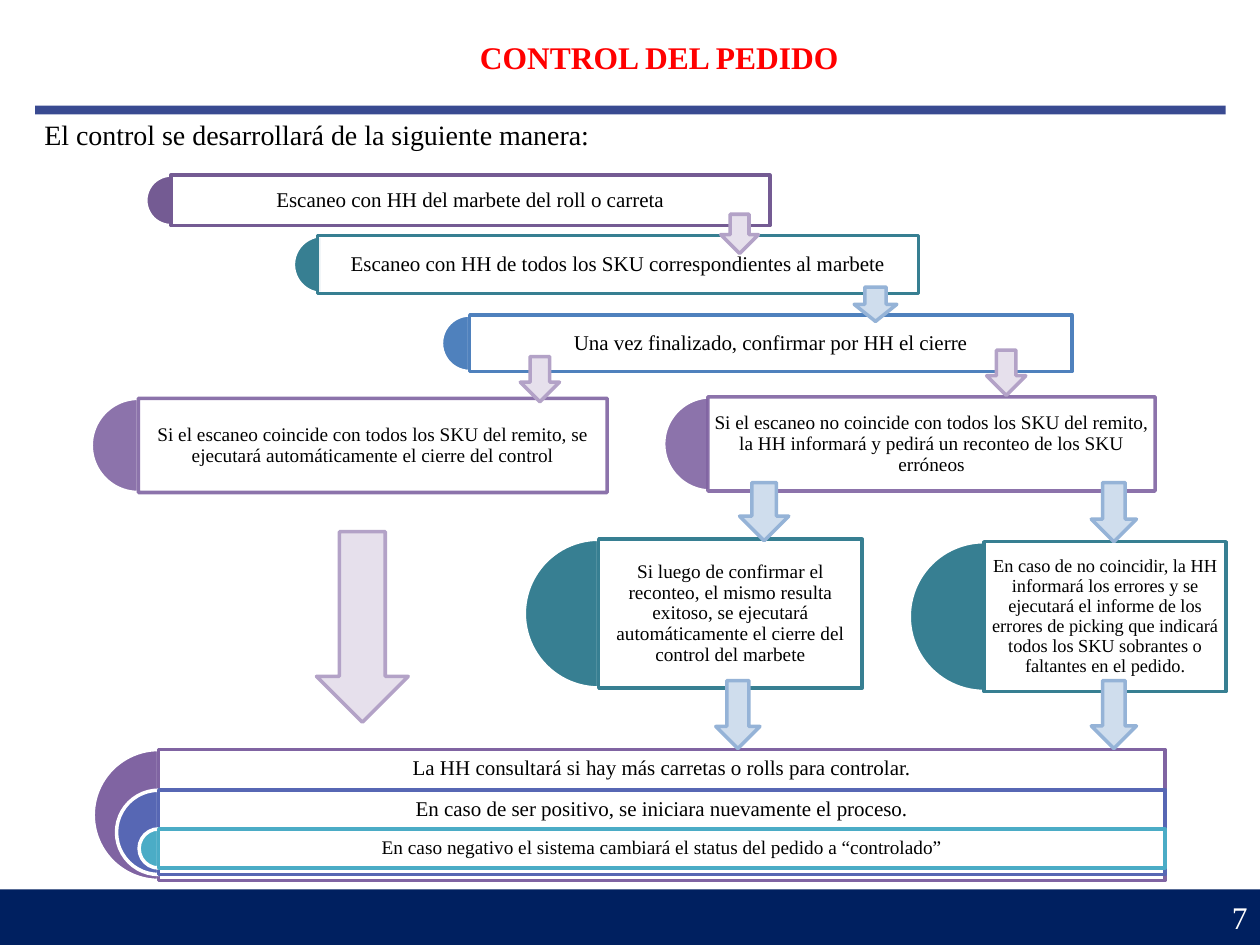
"""Build the order control flow slide."""
from dataclasses import dataclass
from typing import Any

from lxml.etree import SubElement
from pptx import Presentation
from pptx.dml.color import RGBColor
from pptx.enum.shapes import MSO_SHAPE as Preset
from pptx.enum.text import MSO_ANCHOR as Anchor, MSO_AUTO_SIZE as AutoSize, PP_ALIGN as Align
from pptx.oxml.ns import qn
from pptx.util import Cm, Pt

BLACK = RGBColor(0x00, 0x00, 0x00)
WHITE = RGBColor(0xFF, 0xFF, 0xFF)
RED = RGBColor(0xFF, 0x00, 0x00)
NAVY = RGBColor(0x00, 0x20, 0x60)
INDIGO = RGBColor(0x39, 0x4A, 0x91)
PURPLE = RGBColor(0x80, 0x64, 0xA2)
PLUM = RGBColor(0x74, 0x5B, 0x93)
TEAL = RGBColor(0x37, 0x7F, 0x92)
BLUE = RGBColor(0x4F, 0x81, 0xBD)
PERIWINKLE = RGBColor(0x57, 0x67, 0xB4)
AQUA = RGBColor(0x4B, 0xAC, 0xC6)
LILAC = RGBColor(0xE6, 0xE0, 0xEC)
LILAC_EDGE = RGBColor(0xB3, 0xA2, 0xC7)
SKY = RGBColor(0xCF, 0xDD, 0xED)
SKY_EDGE = RGBColor(0x95, 0xB3, 0xD7)

FONT = "Times New Roman"
OUTLINE = Pt(2)
INSET = 0.13
FINAL_ROW = 0.79


@dataclass(frozen=True)
class Box:
    left: float
    top: float
    width: float
    height: float

    def lengths(self) -> tuple:
        return Cm(self.left), Cm(self.top), Cm(self.width), Cm(self.height)


@dataclass(frozen=True)
class Step:
    box: Box
    color: RGBColor
    text: str
    size: float = 12
    row: float | None = None
    disc_shift: float = 0
    faded: bool = False


@dataclass(frozen=True)
class Arrow:
    box: Box
    fill: RGBColor = LILAC
    edge: RGBColor = LILAC_EDGE


STEPS = [
    Step(Box(2.79, 8.03, 9.45, 1.9), PURPLE,
         "Si el escaneo coincide con todos los SKU del remito, se ejecutará "
         "automáticamente el cierre del control", 11, faded=True),
    Step(Box(3.2, 15.11, 20.29, 2.64), PURPLE,
         "La HH consultará si hay más carretas o rolls para controlar.", row=FINAL_ROW),
    Step(Box(3.2, 15.93, 20.29, 1.7), PERIWINKLE,
         "En caso de ser positivo, se iniciara nuevamente el proceso.", row=FINAL_ROW),
    Step(Box(3.2, 16.71, 20.29, FINAL_ROW), AQUA,
         "En caso negativo el sistema cambiará el status del pedido a “controlado”", 11),
    Step(Box(14.27, 8, 9.02, 1.9), PURPLE,
         "Si el escaneo no coincide con todos los SKU del remito, la HH informará "
         "y pedirá un reconteo de los SKU erróneos", 11, disc_shift=0.06, faded=True),
    Step(Box(12.07, 10.87, 5.31, 3), TEAL,
         "Si luego de confirmar el reconteo, el mismo resulta exitoso, se ejecutará "
         "automáticamente el cierre del control del marbete", 11),
    Step(Box(19.84, 10.92, 4.88, 3.02), TEAL,
         "En caso de no coincidir, la HH informará los errores y se ejecutará el "
         "informe de los errores de picking que indicará todos los SKU sobrantes o "
         "faltantes en el pedido.", 10.5),
    Step(Box(3.45, 3.53, 12.07, 1.02), PLUM, "Escaneo con HH del marbete del roll o carreta"),
    Step(Box(6.4, 4.75, 12.12, 1.17), TEAL,
         "Escaneo con HH de todos los SKU correspondientes al marbete", disc_shift=0.1),
    Step(Box(9.47, 6.35, 12.14, 1.14), BLUE, "Una vez finalizado, confirmar por HH el cierre"),
]

ARROWS = [
    Arrow(Box(6.38, 10.72, 1.85, 3.84)),
    Arrow(Box(10.49, 7.19, 0.79, 0.91)),
    Arrow(Box(17.22, 5.79, 0.86, 0.69), SKY, SKY_EDGE),
    Arrow(Box(22, 9.73, 0.91, 1.19), SKY, SKY_EDGE),
    Arrow(Box(14.91, 9.73, 0.99, 1.17), SKY, SKY_EDGE),
    Arrow(Box(14.53, 4.32, 0.76, 0.79)),
    Arrow(Box(19.89, 7.06, 0.79, 0.91)),
    Arrow(Box(14.43, 13.72, 0.89, 1.37), SKY, SKY_EDGE),
    Arrow(Box(22, 13.72, 0.91, 1.37), SKY, SKY_EDGE),
]


def apply_formats(target: Any, formats: dict[str, Any]) -> None:
    for attribute, value in formats.items():
        setattr(target, attribute, value)


def draw_shape(slide: Any, preset: Preset, box: Box, fill: RGBColor,
               edge: RGBColor | None = None) -> Any:
    shape = slide.shapes.add_shape(preset, *box.lengths())
    shape.shadow.inherit = False
    shape.fill.solid()
    shape.fill.fore_color.rgb = fill
    if edge is None:
        shape.line.fill.background()
    else:
        shape.line.color.rgb = edge
        shape.line.width = OUTLINE
    return shape


def fade(shape: Any, part: str) -> None:
    for color in shape._element.xpath(f"./p:spPr/{part}/a:srgbClr"):
        SubElement(color, qn("a:alpha")).set("val", "90000")


def write(shape: Any, text: str, frame: dict[str, Any], paragraph: dict[str, Any],
          size: float, color: RGBColor, bold: bool = False) -> None:
    apply_formats(shape.text_frame, frame)
    line = shape.text_frame.paragraphs[0]
    line.text = text
    apply_formats(line, paragraph)
    apply_formats(line.font, {"name": FONT, "size": Pt(size), "bold": bold})
    line.font.color.rgb = color


def draw_step(slide: Any, step: Step) -> None:
    box = step.box
    disc_box = Box(box.left - box.height / 2 + step.disc_shift, box.top, box.height, box.height)
    disc = draw_shape(slide, Preset.PIE, disc_box, step.color, WHITE)
    disc.adjustments[0], disc.adjustments[1] = 54, 162
    panel = draw_shape(slide, Preset.RECTANGLE, box, WHITE, step.color)
    fade(panel, "a:solidFill")
    if step.faded:
        fade(disc, "a:solidFill")
        fade(panel, "a:ln/a:solidFill")
    below_row = box.height - (step.row or box.height)
    frame = {"word_wrap": True, "vertical_anchor": Anchor.MIDDLE,
             "margin_left": Cm(INSET), "margin_right": Cm(INSET),
             "margin_top": Cm(INSET), "margin_bottom": Cm(INSET + below_row)}
    write(panel, step.text, frame, {"alignment": Align.CENTER, "line_spacing": 0.9},
          step.size, BLACK)


def fill_placeholder(placeholder: Any, box: Box, text: str, size: float,
                     color: RGBColor, bold: bool = False) -> None:
    sides = ("left", "top", "width", "height")
    apply_formats(placeholder, dict(zip(sides, box.lengths())))
    properties = placeholder.text_frame.paragraphs[0]._p.get_or_add_pPr()
    apply_formats(properties, {"marL": 0, "indent": 0} if hasattr(properties, "marL") else {})
    properties.set("marL", "0")
    properties.set("indent", "0")
    SubElement(properties, qn("a:buNone"))
    frame = {"word_wrap": False, "auto_size": AutoSize.NONE, "vertical_anchor": Anchor.TOP}
    write(placeholder, text, frame, {"alignment": Align.LEFT, "space_before": Pt(0)},
          size, color, bold)


def main() -> None:
    deck = Presentation()
    apply_formats(deck, {"slide_width": Cm(25.4), "slide_height": Cm(19.05)})
    slide = deck.slides.add_slide(deck.slide_layouts[1])
    heading, intro = slide.placeholders

    draw_shape(slide, Preset.RECTANGLE, Box(0.71, 2.13, 24, 0.18), INDIGO)
    footer = draw_shape(slide, Preset.RECTANGLE, Box(0, 17.93, 25.4, 1.12), NAVY)
    write(footer, "7", {"vertical_anchor": Anchor.MIDDLE}, {"alignment": Align.RIGHT}, 18, WHITE)
    fill_placeholder(heading, Box(9.42, 0.64, 7.82, 1.02), "CONTROL DEL PEDIDO", 18, RED, True)
    fill_placeholder(intro, Box(0.64, 2.24, 11.63, 0.94),
                     "El control se desarrollará de la siguiente manera:", 16, BLACK)
    for step in STEPS:
        draw_step(slide, step)
    for arrow in ARROWS:
        draw_shape(slide, Preset.DOWN_ARROW, arrow.box, arrow.fill, arrow.edge)
    deck.save("out.pptx")


if __name__ == "__main__":
    main()
